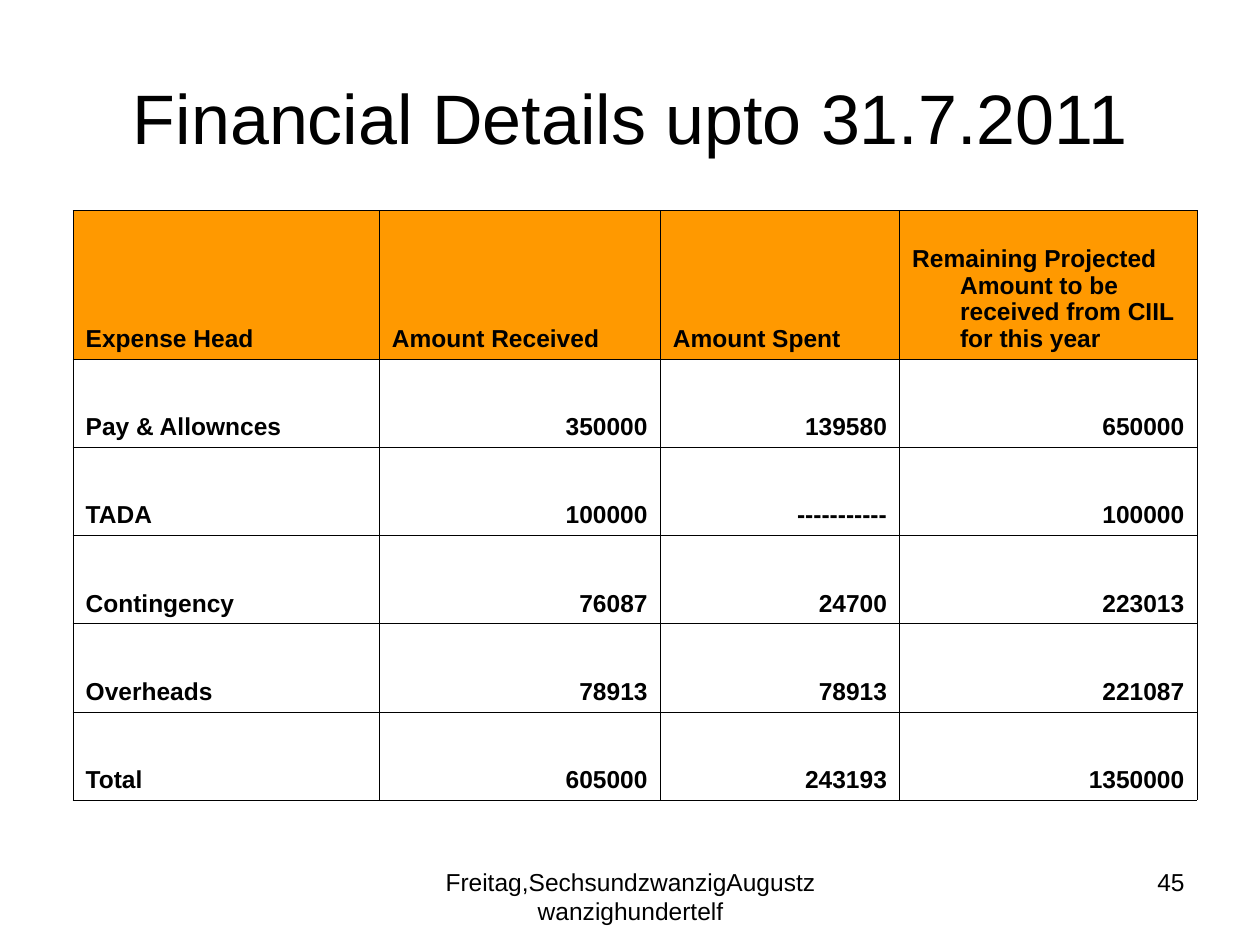
from lxml import etree
from pptx import Presentation
from pptx.dml.color import RGBColor
from pptx.enum.text import MSO_ANCHOR, PP_ALIGN
from pptx.oxml.ns import qn
from pptx.util import Inches, Pt

LEFT, CENTER, RIGHT = PP_ALIGN.LEFT, PP_ALIGN.CENTER, PP_ALIGN.RIGHT
TOP, MIDDLE, BOTTOM = MSO_ANCHOR.TOP, MSO_ANCHOR.MIDDLE, MSO_ANCHOR.BOTTOM

COLORS = {"text": "000000", "border": "000000", "header": "FF9900"}
FONT = "Arial"
BORDER_WIDTH = Pt(0.45)
HANGING_INDENT = Inches(0.38)

COLUMN_WIDTHS = [2.43, 2.23, 1.9, 2.36]
HEADER_HEIGHT, EXPENSE_HEIGHT = 1.18, 0.7
EXPENSES = [
    ("Expense Head", "Amount Received", "Amount Spent",
     "Remaining Projected Amount to be received from CIIL for this year"),
    ("Pay & Allownces", "350000", "139580", "650000"),
    ("TADA", "100000", "-----------", "100000"),
    ("Contingency", "76087", "24700", "223013"),
    ("Overheads", "78913", "78913", "221087"),
    ("Total", "605000", "243193", "1350000"),
]


def write_text(frame, text, size=14, bold=False, align=LEFT, line_spacing=None):
    paragraph = frame.paragraphs[0]
    paragraph.alignment = align
    paragraph.line_spacing = line_spacing
    run = paragraph.add_run()
    run.text = text
    run.font.name = FONT
    run.font.size = Pt(size)
    run.font.bold = bold
    run.font.color.rgb = RGBColor.from_string(COLORS["text"])
    return paragraph


def add_label(slide, text, left, top, width, height, anchor=TOP, **text_format):
    frame = slide.shapes.add_textbox(
        Inches(left), Inches(top), Inches(width), Inches(height)).text_frame
    frame.word_wrap = True
    frame.vertical_anchor = anchor
    write_text(frame, text, **text_format)


def set_borders(cell):
    properties = cell._tc.get_or_add_tcPr()
    for position, side in enumerate(("a:lnL", "a:lnR", "a:lnT", "a:lnB")):
        line = etree.Element(qn(side), w=str(BORDER_WIDTH))
        fill = etree.SubElement(line, qn("a:solidFill"))
        etree.SubElement(fill, qn("a:srgbClr"), val=COLORS["border"])
        properties.insert(position, line)


def fill_cell(cell, text, is_header, align):
    cell.vertical_anchor = BOTTOM
    if is_header:
        cell.fill.solid()
        cell.fill.fore_color.rgb = RGBColor.from_string(COLORS["header"])
    else:
        cell.fill.background()
    set_borders(cell)
    paragraph = write_text(cell.text_frame, text, bold=True, align=align,
                           line_spacing=0.97)
    indents = paragraph._p.get_or_add_pPr()
    indents.set("marL", str(HANGING_INDENT))
    indents.set("indent", str(-HANGING_INDENT))


def add_expense_table(slide, left, top):
    row_heights = [HEADER_HEIGHT] + [EXPENSE_HEIGHT] * (len(EXPENSES) - 1)
    table = slide.shapes.add_table(
        len(EXPENSES), len(COLUMN_WIDTHS), Inches(left), Inches(top),
        Inches(sum(COLUMN_WIDTHS)), Inches(sum(row_heights))).table
    table.first_row = False
    table.horz_banding = False
    for column, width in zip(table.columns, COLUMN_WIDTHS):
        column.width = Inches(width)
    for row_index, (expense, height) in enumerate(zip(EXPENSES, row_heights)):
        table.rows[row_index].height = Inches(height)
        for column_index, text in enumerate(expense):
            is_amount = row_index > 0 and column_index > 0
            fill_cell(table.cell(row_index, column_index), text,
                      is_header=row_index == 0,
                      align=RIGHT if is_amount else LEFT)


def main():
    presentation = Presentation()
    presentation.slide_width = Inches(10)
    presentation.slide_height = Inches(7.5)
    slide = presentation.slides.add_slide(presentation.slide_layouts[6])

    add_label(slide, "Financial Details upto 31.7.2011", 0.5, 0.3, 9, 1.25,
              anchor=MIDDLE, size=40, align=CENTER)
    add_expense_table(slide, 0.58, 1.67)
    add_label(slide, "Freitag,SechsundzwanzigAugustzwanzighundertelf",
              3.42, 6.83, 3.17, 0.52, align=CENTER)
    add_label(slide, "45", 7.17, 6.83, 2.33, 0.52, align=RIGHT)

    presentation.save("out.pptx")


if __name__ == "__main__":
    main()
